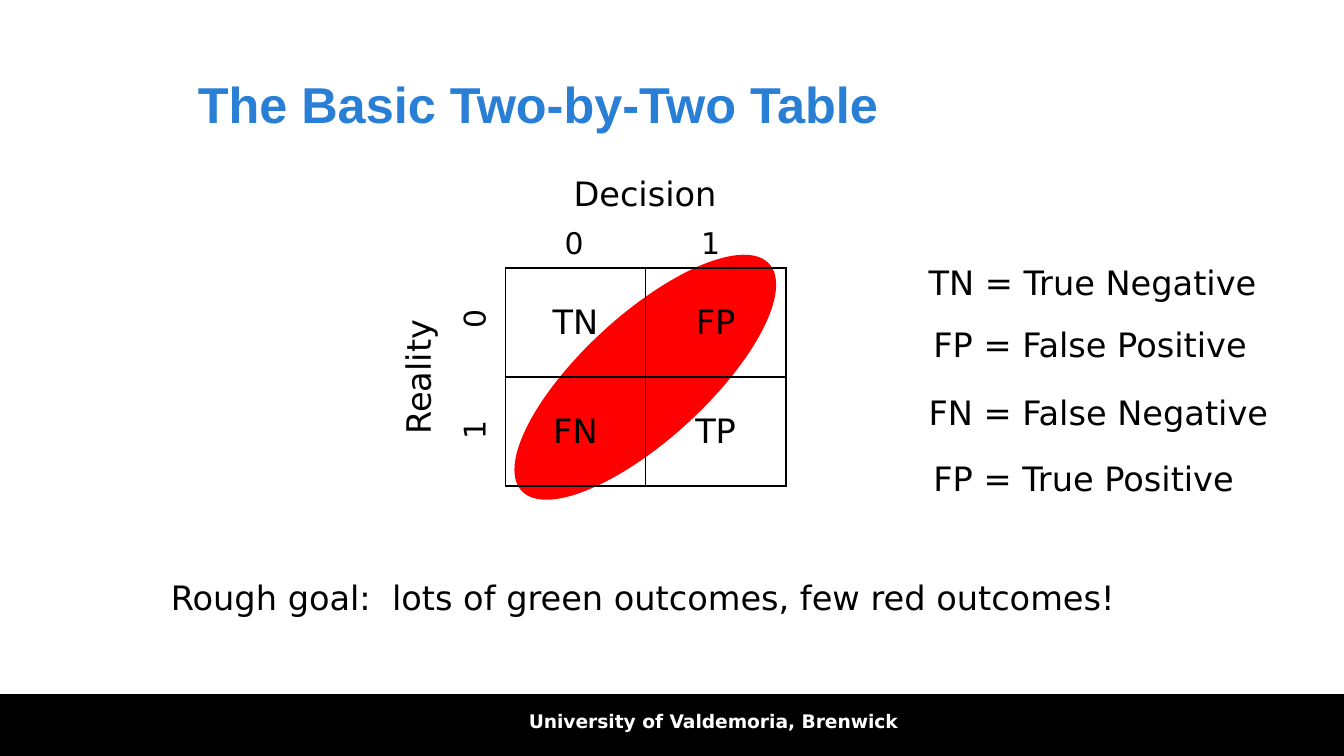
"""Build a slide explaining the two-by-two table of decisions and reality."""
from dataclasses import dataclass

from lxml import etree
from pptx import Presentation
from pptx import util as u
from pptx.dml.color import RGBColor
from pptx.enum import shapes, text
from pptx.oxml.ns import qn


@dataclass(frozen=True)
class Theme:
    ink: str = "000000"
    paper: str = "FFFFFF"
    heading: str = "297FD5"
    error: str = "FF0000"
    title_font: str = "Arial"
    body_font: str = "DejaVu Sans"
    title_size: int = 27
    body_size: int = 18
    digit_size: int = 16
    footer_size: int = 10
    border: float = 1


def write(frame, words, *, size, color, font, bold=False,
          align=text.PP_ALIGN.LEFT):
    paragraph = frame.paragraphs[0]
    paragraph.alignment = align
    run = paragraph.add_run()
    run.text = words
    run.font.size = u.Pt(size)
    run.font.name = font
    run.font.bold = bold
    run.font.color.rgb = RGBColor.from_string(color)


class Board:
    def __init__(self, slide, theme):
        self.slide = slide
        self.theme = theme

    def block(self, kind, box, color, rotation=0):
        block = self.slide.shapes.add_shape(kind, *map(u.Cm, box))
        block.rotation = rotation
        block.shadow.inherit = False
        block.fill.solid()
        block.fill.fore_color.rgb = RGBColor.from_string(color)
        block.line.fill.background()

    def label(self, words, box, *, rotation=0, wrap=False,
              anchor=text.MSO_ANCHOR.TOP, **style):
        label = self.slide.shapes.add_textbox(*map(u.Cm, box))
        label.rotation = rotation
        frame = label.text_frame
        frame.word_wrap = wrap
        frame.vertical_anchor = anchor
        if not wrap:
            frame.auto_size = text.MSO_AUTO_SIZE.SHAPE_TO_FIT_TEXT
        defaults = dict(size=self.theme.body_size, color=self.theme.ink,
                        font=self.theme.body_font)
        write(frame, words, **(defaults | style))

    def edge(self, cell):
        properties = cell._tc.get_or_add_tcPr()
        for side in ("lnL", "lnR", "lnT", "lnB"):
            line = etree.SubElement(properties, qn(f"a:{side}"),
                                    w=str(u.Pt(self.theme.border)))
            fill = etree.SubElement(line, qn("a:solidFill"))
            etree.SubElement(fill, qn("a:srgbClr"), val=self.theme.ink)

    def matrix(self, rows, left, top, cell_width, cell_height):
        columns = len(rows[0])
        table = self.slide.shapes.add_table(
            len(rows), columns, u.Cm(left), u.Cm(top),
            u.Cm(cell_width * columns), u.Cm(cell_height * len(rows))).table
        table.first_row = table.horz_banding = False
        for cell, outcome in zip(table.iter_cells(), sum(rows, [])):
            self.edge(cell)
            cell.fill.background()
            cell.vertical_anchor = text.MSO_ANCHOR.MIDDLE
            write(cell.text_frame, outcome, size=self.theme.body_size,
                  color=self.theme.ink, font=self.theme.body_font,
                  align=text.PP_ALIGN.CENTER)


def main():
    deck = Presentation()
    deck.slide_width, deck.slide_height = u.Cm(25.4), u.Cm(14.29)
    theme = Theme()
    board = Board(deck.slides.add_slide(deck.slide_layouts[6]), theme)

    board.block(shapes.MSO_SHAPE.RECTANGLE, (0, 13.12, 25.4, 1.17), theme.ink)
    board.block(shapes.MSO_SHAPE.OVAL, (9.02, 5.95, 6.35, 2.36), theme.error,
                rotation=137.5)
    board.matrix([["TN", "FP"], ["FN", "TP"]], 9.55, 5.07, 2.65, 2.06)

    board.label("The Basic Two-by-Two Table", (3.49, 0.76, 18.26, 2.39),
                wrap=True, anchor=text.MSO_ANCHOR.MIDDLE, bold=True,
                size=theme.title_size, color=theme.heading,
                font=theme.title_font)
    board.label("University of Valdemoria, Brenwick",
                (5.44, 13.3, 16.08, 0.89), wrap=True, bold=True,
                size=theme.footer_size, color=theme.paper,
                align=text.PP_ALIGN.CENTER)

    board.label("Decision", (10.59, 3.15, 3.3, 1.02))
    board.label("Reality", (6.55, 6.61, 2.69, 1.02), rotation=270)
    for digit, decision_left, reality_top in (("0", 10.42, 5.56),
                                              ("1", 13, 7.65)):
        board.label(digit, (decision_left, 4.12, 0.86, 0.94),
                    size=theme.digit_size)
        board.label(digit, (8.53, reality_top, 0.86, 0.94), rotation=270,
                    size=theme.digit_size)

    legend = (
        ("TN = True Negative", 17.3, 4.83, 6.83),
        ("FP = False Positive", 17.39, 5.99, 6.55),
        ("FN = False Negative", 17.3, 7.29, 7.01),
        ("FP = True Positive", 17.39, 8.53, 6.32),
    )
    for meaning, left, top, width in legend:
        board.label(meaning, (left, top, width, 1.02))
    board.label("Rough goal:  lots of green outcomes, few red outcomes!",
                (2.98, 10.78, 19.38, 1.02))

    deck.save("out.pptx")


if __name__ == "__main__":
    main()
